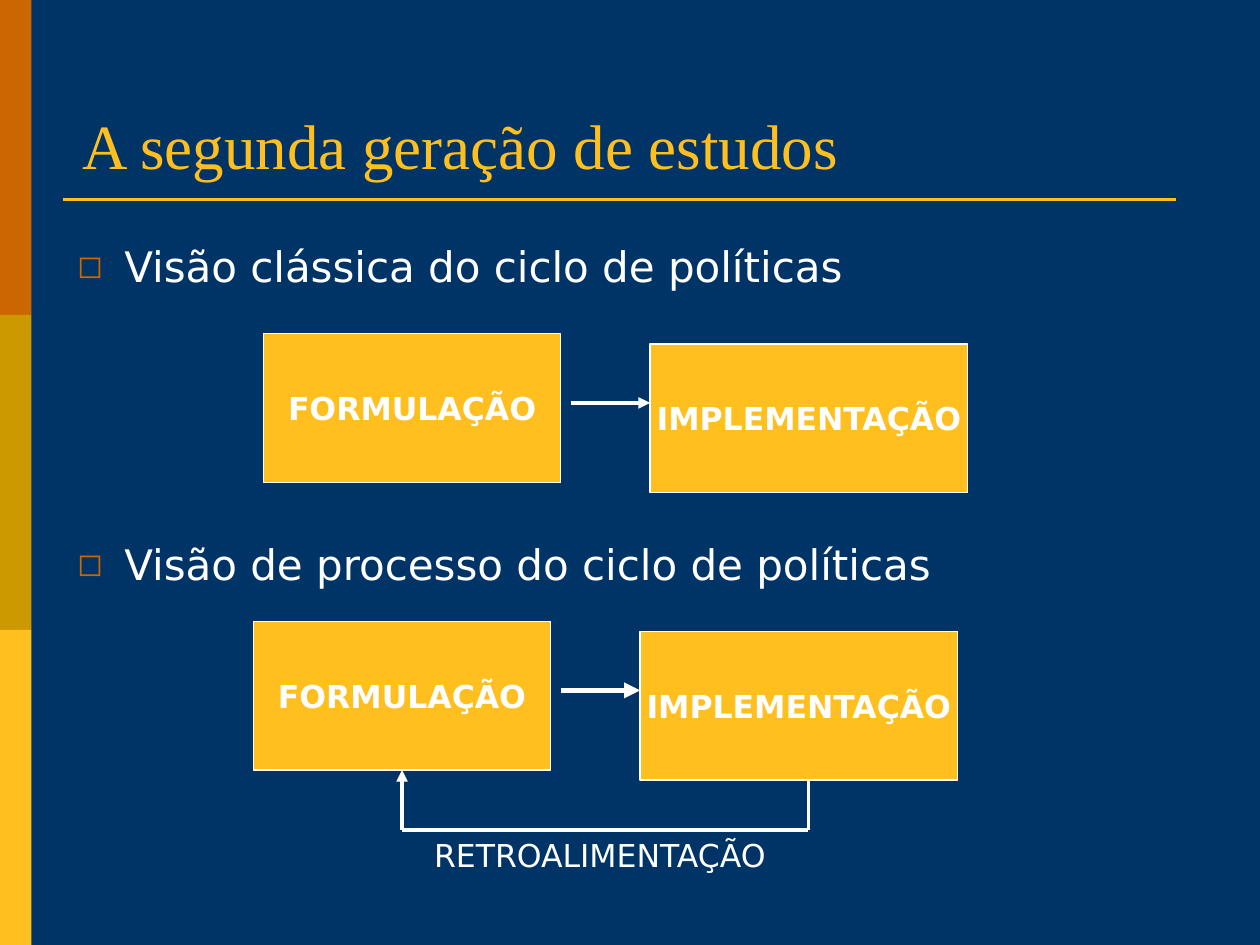
import pptx
import pptx.util
import pptx.dml.color
import pptx.enum.shapes
import pptx.enum.text
import lxml.etree
import pptx.oxml.ns

Pt = pptx.util.Pt
RGBColor = pptx.dml.color.RGBColor
ALIGN = pptx.enum.text.PP_ALIGN
ANCHOR = pptx.enum.text.MSO_ANCHOR
RECTANGLE = pptx.enum.shapes.MSO_SHAPE.RECTANGLE
qn = pptx.oxml.ns.qn

NAVY = RGBColor(0x00, 0x33, 0x66)
ORANGE = RGBColor(0xCC, 0x66, 0x00)
OLIVE = RGBColor(0xCC, 0x99, 0x00)
GOLD = RGBColor(0xFF, 0xBF, 0x1F)
WHITE = RGBColor(0xFF, 0xFF, 0xFF)

deck = pptx.Presentation()
deck.slide_width, deck.slide_height = Pt(720), Pt(540)
slide = deck.slides.add_slide(deck.slide_layouts[6])
slide.background.fill.solid()
slide.background.fill.fore_color.rgb = NAVY
shapes = slide.shapes


def write(box, text, size, color=WHITE, font="DejaVu Sans", bold=False):
    para = box.text_frame.paragraphs[0]
    para.text = text
    span = para.runs[0]
    span.font.size = Pt(size)
    span.font.name = font
    span.font.bold = bold
    span.font.color.rgb = color
    return para


def add_line(x1, y1, x2, y2, color=WHITE, width=2.25, arrow=False):
    line = shapes.add_connector(pptx.enum.shapes.MSO_CONNECTOR.STRAIGHT,
                                Pt(x1), Pt(y1), Pt(x2), Pt(y2))
    line.line.color.rgb = color
    line.line.width = Pt(width)
    if arrow:
        lxml.etree.SubElement(line.line._get_or_add_ln(), qn("a:tailEnd"), type="triangle")
    lxml.etree.SubElement(line._element.spPr, qn("a:effectLst"))
    return line


# Side stripe and title
for index, color in enumerate((ORANGE, OLIVE, GOLD)):
    stripe = shapes.add_shape(RECTANGLE, 0, Pt(180 * index), Pt(18), Pt(180))
    stripe.shadow.inherit = False
    stripe.fill.solid()
    stripe.fill.fore_color.rgb = color
    stripe.line.fill.background()
add_line(36, 114, 672, 114, GOLD, 1.5)

title = shapes.add_textbox(Pt(40), Pt(26), Pt(655), Pt(81.5))
title.text_frame.word_wrap = True
title.text_frame.vertical_anchor = ANCHOR.BOTTOM
write(title, "A segunda geração de estudos", 36, GOLD, "Times New Roman")

# Bulleted headings
headings = (("Visão clássica do ciclo de políticas", 134, 181),
            ("Visão de processo do ciclo de políticas", 304, 45))
for text, top, height in headings:
    heading = shapes.add_textbox(Pt(37), Pt(top), Pt(648), Pt(height))
    heading.text_frame.word_wrap = True
    para = write(heading, text, 24)
    para.alignment = ALIGN.JUSTIFY
    para.space_before = Pt(6)
    properties = para._p.get_or_add_pPr()
    properties.set("marL", str(Pt(27)))
    properties.set("indent", str(Pt(-27)))
    bullet_color = lxml.etree.SubElement(properties, qn("a:buClr"))
    lxml.etree.SubElement(bullet_color, qn("a:srgbClr"), val=str(ORANGE))
    lxml.etree.SubElement(properties, qn("a:buSzPct"), val="75000")
    lxml.etree.SubElement(properties, qn("a:buFont"), typeface="DejaVu Sans")
    lxml.etree.SubElement(properties, qn("a:buChar"), char="◻")

# Two cycles, each with a formulation box, an arrow and an implementation box
for left, top, arrow_width in ((150.5, 190.75, 2.25), (144.75, 355, 3)):
    stages = (("FORMULAÇÃO", left, top, 170),
              ("IMPLEMENTAÇÃO", left + 221, top + 5.75, 181.5))
    stage_boxes = []
    for text, x, y, width in stages:
        box = shapes.add_shape(RECTANGLE, Pt(x), Pt(y), Pt(width), Pt(85))
        box.shadow.inherit = False
        box.fill.solid()
        box.fill.fore_color.rgb = GOLD
        box.line.color.rgb = WHITE
        box.line.width = Pt(0.75)
        box.text_frame.word_wrap = False
        box.text_frame.vertical_anchor = ANCHOR.MIDDLE
        write(box, text, 18, bold=True).alignment = ALIGN.CENTER
        stage_boxes.append(box)
    add_line(left + 175.75, top + 39.5, left + 221, top + 39.5, width=arrow_width, arrow=True)

# Feedback from implementation to formulation in the second cycle
formulation = stage_boxes[0]
feedback_left, feedback_right, feedback_y = left + 85, 462, 474.25
add_line(feedback_right, top + 90.75, feedback_right, feedback_y)
add_line(feedback_right, feedback_y, feedback_left, feedback_y)
feedback_arrow = add_line(feedback_left, feedback_y, feedback_left, top + 85, arrow=True)
feedback_arrow.end_connect(formulation, 2)

feedback = shapes.add_textbox(Pt(241), Pt(474.25), Pt(215.5), Pt(29))
feedback.text_frame.word_wrap = True
write(feedback, "RETROALIMENTAÇÃO", 18)

deck.save("out.pptx")
